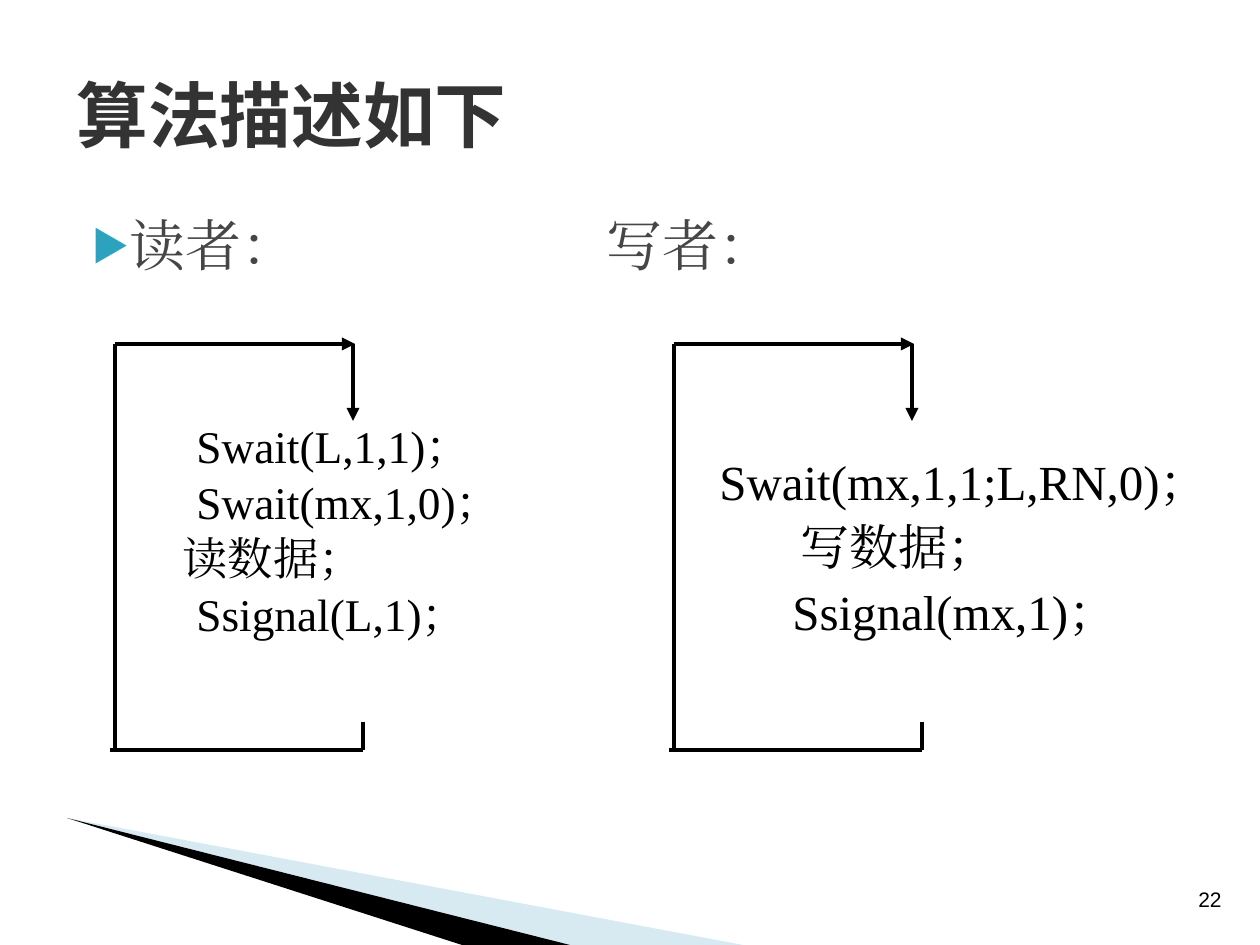
from pptx import Presentation
from pptx.dml.color import RGBColor
from pptx.enum.shapes import MSO_CONNECTOR as Conn
from pptx.enum.text import MSO_ANCHOR as Anchor, PP_ALIGN as Align
from pptx.oxml.ns import qn
from pptx.util import Emu, Pt
from lxml.etree import SubElement as Sub

SCALE = 914400 / 126  # EMU per px


def px(n):
    return Emu(round(n * SCALE))


def tint(code):
    return RGBColor.from_string(code)


class Deck:
    ink = "000000"
    serif = "Times New Roman"
    sans = "Arial"
    cjk = "Noto Sans CJK SC"

    def __init__(self, wide, high):
        self.prs = Presentation()
        self.prs.slide_width, self.prs.slide_height = px(wide), px(high)
        self.slide = self.prs.slides.add_slide(self.prs.slide_layouts[6])
        self.shapes = self.slide.shapes

    def wedge(self, pts, color, alpha=100):
        form = self.shapes.build_freeform(*pts[0], scale=SCALE)
        form.add_line_segments(pts[1:], close=True)
        shape = form.convert_to_shape()
        shape.shadow.inherit = False
        shape.line.fill.background()
        shape.fill.solid()
        shape.fill.fore_color.rgb = tint(color)
        if alpha < 100:
            fill = shape.fill._xPr.find(qn("a:solidFill"))
            Sub(fill[0], qn("a:alpha"), val=str(alpha * 1000))

    def line(self, x1, y1, x2, y2, arrow=False):
        line = self.shapes.add_connector(
            Conn.STRAIGHT, px(x1), px(y1), px(x2), px(y2))
        line.line.color.rgb = tint(self.ink)
        line.line.width = Pt(2.5)
        if arrow:
            Sub(line.line._get_or_add_ln(), qn("a:tailEnd"), type="triangle")
        Sub(line._element.spPr, qn("a:effectLst"))

    def box(self, x, y, w, h, anchor=Anchor.TOP, wrap=True):
        frame = self.shapes.add_textbox(px(x), px(y), px(w), px(h)).text_frame
        frame.word_wrap = wrap
        frame.vertical_anchor = anchor
        return frame

    def run(self, par, text, size, font, color=ink, bold=False):
        run = par.add_run()
        run.text = text
        run.font.size, run.font.name, run.font.bold = Pt(size), font, bold
        run.font.color.rgb = tint(color)
        Sub(run._r.get_or_add_rPr(), qn("a:ea"), typeface=font)

    def label(self, frame, text, size, font, color=ink, bold=False,
              align=Align.LEFT):
        par = frame.paragraphs[0]
        par.alignment = align
        self.run(par, text, size, font, color, bold)

    def heads(self, frame, words, size, color, stop):
        """One bulleted line whose parts are set apart by a tab stop."""
        par = frame.paragraphs[0]
        props = par._p.get_or_add_pPr()
        props.set("marL", str(px(50)))
        props.set("indent", str(px(-35)))
        Sub(Sub(props, qn("a:buClr")), qn("a:srgbClr"), val="2DA2BF")
        Sub(props, qn("a:buSzPct"), val="68000")
        Sub(props, qn("a:buFont"), typeface=self.cjk)
        Sub(props, qn("a:buChar"), char="▶")
        Sub(Sub(props, qn("a:tabLst")), qn("a:tab"), pos=str(px(stop)), algn="l")
        self.run(par, "\t".join(words), size, self.serif, color)

    def steps(self, frame, rows, size, space):
        for i, (indent, text) in enumerate(rows):
            par = frame.add_paragraph() if i else frame.paragraphs[0]
            par._p.get_or_add_pPr().set("marL", str(px(indent)))
            par.line_spacing = space
            par.space_before = Pt(7 if i else 0)
            self.run(par, text, size, self.serif)

    def loop(self, x):
        """Arrowed path from the end of the steps back to their start."""
        left, mid, right = x, x + 238, x + 248
        top, low = 344, 750
        self.line(mid, top, mid, 421, arrow=True)
        self.line(right, 722, right, low)
        self.line(right, low, left - 5, low)
        self.line(left, low, left, top)
        self.line(left, top, mid + 2, top, arrow=True)


def main():
    deck = Deck(1260, 945)

    # Corner wedges
    deck.wedge([(67, 818), (743, 945), (570, 945)], "9FCBDC", alpha=40)
    deck.wedge([(67, 818), (570, 945), (462, 945)], deck.ink)

    # Page number
    deck.label(deck.box(1160, 880, 100, 38, Anchor.MIDDLE, wrap=False),
               "22", 12, deck.sans, align=Align.CENTER)

    # Title and column heads
    deck.label(deck.box(64, 35, 1134, 158, Anchor.MIDDLE),
               "算法描述如下", 41, deck.cjk, "333333", bold=True)
    deck.heads(deck.box(64, 204, 1134, 213), ["读者：", "写者："],
               32, "464646", 530)

    # Reader
    deck.steps(deck.box(34, 423, 576, 278), [
        (150, "Swait(L,1,1)；"),
        (150, "Swait(mx,1,0)；"),
        (136, "读数据；"),
        (150, "Ssignal(L,1)；"),
    ], 25.9, 0.8)
    deck.loop(115)

    # Writer
    deck.steps(deck.box(620, 452, 635, 278), [
        (87, "Swait(mx,1,1;L,RN,0)；"),
        (168, "写数据；"),
        (160, "Ssignal(mx,1)；"),
    ], 28, 0.9)
    deck.loop(674)

    deck.prs.save("out.pptx")


if __name__ == "__main__":
    main()
